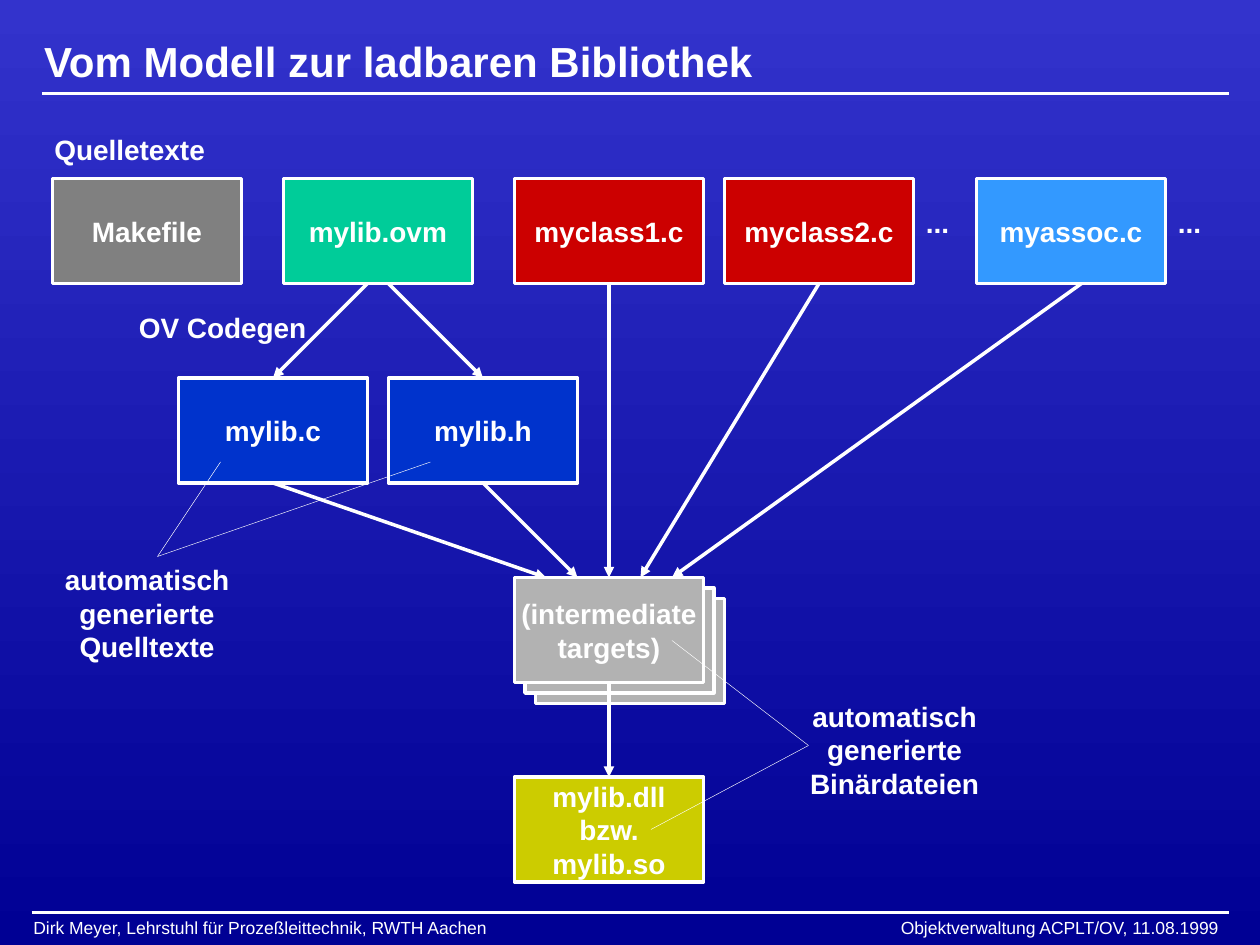
from dataclasses import dataclass
from pptx import Presentation
from pptx.dml.color import RGBColor
from pptx.enum.shapes import MSO_CONNECTOR, MSO_SHAPE
from pptx.enum.text import MSO_ANCHOR, PP_ALIGN
from pptx.oxml.ns import qn
from pptx.util import Inches, Pt
from lxml.etree import SubElement

HEX = {"white": "FFFFFF", "top": "3333CC", "base": "000094",
       "gray": "808080", "green": "00CC99", "red": "CC0000",
       "sky": "3399FF", "blue": "0033CC", "stone": "B2B2B2",
       "gold": "CCCC00"}
LEFT, MID, RIGHT = PP_ALIGN.LEFT, PP_ALIGN.CENTER, PP_ALIGN.RIGHT

# The grid has 120 columns and 90 rows, twelve to the inch
WIDE, HIGH = 18, 10      # size of a file box
SRC, GEN, OBJ, LIB = 17, 36, 55, 74      # top row of each stage


@dataclass
class Node:
    text: str
    col: float
    row: float
    hue: str


@dataclass
class Label:
    text: str
    col: float
    row: float
    wide: float
    high: float = 4.4
    align: PP_ALIGN = LEFT


@dataclass
class Link:
    start: object      # a node's text, or a (column, row) point
    end: object


NODES = [
    Node("mylib.ovm", 27, SRC, "green"),
    Node("myclass1.c", 49, SRC, "red"),
    Node("Makefile", 5, SRC, "gray"),
    Node("myclass2.c", 69, SRC, "red"),
    Node("myassoc.c", 93, SRC, "sky"),
    Node("mylib.dll\nbzw.\nmylib.so", 49, LIB, "gold"),
    Node("mylib.c", 17, GEN, "blue"),
    Node("mylib.h", 37, GEN, "blue"),
]
STACK = [
    Node("", 51, OBJ + 2, "stone"),
    Node("", 50, OBJ + 1, "stone"),
    Node("(intermediate\ntargets)", 49, OBJ, "stone"),
]
LABELS = [
    Label("...", 87, 19, 4.6),
    Label("...", 111, 19, 4.6),
    Label("Quelletexte", 4, 12, 17),
    Label("automatisch\ngenerierte\nQuelltexte", 4, 53, 20, 10.8, MID),
    Label("automatisch\ngenerierte\nBinärdateien", 75.2, 66, 20, 10.8, MID),
    Label("OV Codegen", 11.2, 29, 20, align=MID),
]
LINKS = [
    Link((35, SRC + HIGH), "mylib.c"),
    Link((37, SRC + HIGH), "mylib.h"),
    Link("mylib.c", (52, OBJ)),
    Link("mylib.h", (55, OBJ)),
    Link("myclass1.c", STACK[-1].text),
    Link("myclass2.c", (61, OBJ)),
    Link((103, SRC + HIGH), (64, OBJ)),
    Link(STACK[-1].text, NODES[5].text),
]
# Thin pointers: two targets that meet at a label
HINTS = [[(21, 44), (15, 53), (41, 44)],
         [(64, 61), (77, 71), (62, 79)]]
RULES = [((4, 8.9), (117, 8.9)), ((3, 86.9), (117, 86.9))]


def unit(num: float) -> int:
    return Inches(num / 12)


def tint(name: str) -> RGBColor:
    return RGBColor.from_string(HEX[name])


def write(frame, text: str, *, size: float = 16, bold: bool = True,
          align=LEFT, anchor=MSO_ANCHOR.TOP, wrap: bool = False) -> None:
    frame.word_wrap = wrap
    frame.vertical_anchor = anchor
    frame.text = text
    for para in frame.paragraphs:
        para.alignment = align
        for run in para.runs:
            font = run.font
            font.name, font.size, font.bold = "Arial", Pt(size), bold
            font.color.rgb = tint("white")


def box(shapes, node: Node):
    shape = shapes.add_shape(MSO_SHAPE.RECTANGLE, unit(node.col),
                             unit(node.row), unit(WIDE), unit(HIGH))
    shape.shadow.inherit = False
    shape.fill.solid()
    shape.fill.fore_color.rgb = tint(node.hue)
    shape.line.color.rgb = tint("white")
    shape.line.width = Pt(2)
    if node.text:
        write(shape.text_frame, node.text, align=MID,
              anchor=MSO_ANCHOR.MIDDLE)
    return shape


def note(shapes, label: Label, **form) -> None:
    area = shapes.add_textbox(unit(label.col), unit(label.row),
                              unit(label.wide), unit(label.high))
    write(area.text_frame, label.text, align=label.align, **form)


def line(shapes, start: tuple, end: tuple, width: float = 2):
    wire = shapes.add_connector(MSO_CONNECTOR.STRAIGHT,
                                *map(unit, (*start, *end)))
    wire.line.color.rgb = tint("white")
    wire.line.width = Pt(width)
    SubElement(wire._element.spPr, qn("a:effectLst"))
    return wire


def arrow(shapes, link: Link, made: dict) -> None:
    head, tail = made.get(link.start), made.get(link.end)
    wire = line(shapes, (0, 0) if head else link.start,
                (0, 0) if tail else link.end)
    if head:
        wire.begin_connect(head, 2)
    if tail:
        wire.end_connect(tail, 0)
    SubElement(wire.line._get_or_add_ln(), qn("a:tailEnd"), type="triangle")


def main() -> None:
    deck = Presentation()
    deck.slide_width, deck.slide_height = unit(120), unit(90)
    slide = deck.slides.add_slide(deck.slide_layouts[5])
    shapes = slide.shapes

    # Background
    fill = slide.background.fill
    fill.gradient()
    fill.gradient_angle = 270
    for stop, name in zip(fill.gradient_stops, ("top", "base")):
        stop.color.rgb = tint(name)

    # Title, rules and footer
    title = shapes.title
    title.left, title.top = unit(3), unit(2.9)
    title.width, title.height = unit(114), unit(5.8)
    write(title.text_frame, "Vom Modell zur ladbaren Bibliothek", size=24,
          anchor=MSO_ANCHOR.MIDDLE, wrap=True)
    for start, end in RULES:
        line(shapes, start, end)
    for foot in (
            Label("Dirk Meyer, Lehrstuhl für Prozeßleittechnik, RWTH Aachen",
                  2, 86.7, 56, 3.2),
            Label("Objektverwaltung ACPLT/OV, 11.08.1999",
                  61.2, 86.7, 56, 3.2, RIGHT)):
        note(shapes, foot, size=10, bold=False, wrap=True)

    # File boxes and the stack of targets
    made = {node.text: box(shapes, node) for node in NODES}
    pile = shapes.add_group_shape().shapes
    made |= {node.text: box(pile, node) for node in STACK}

    # Labels, arrows and pointers
    for label in LABELS:
        note(shapes, label)
    for link in LINKS:
        arrow(shapes, link, made)
    for one, joint, two in HINTS:
        line(shapes, one, joint, 0.25)
        line(shapes, joint, two, 0.25)

    deck.save("out.pptx")


if __name__ == "__main__":
    main()
